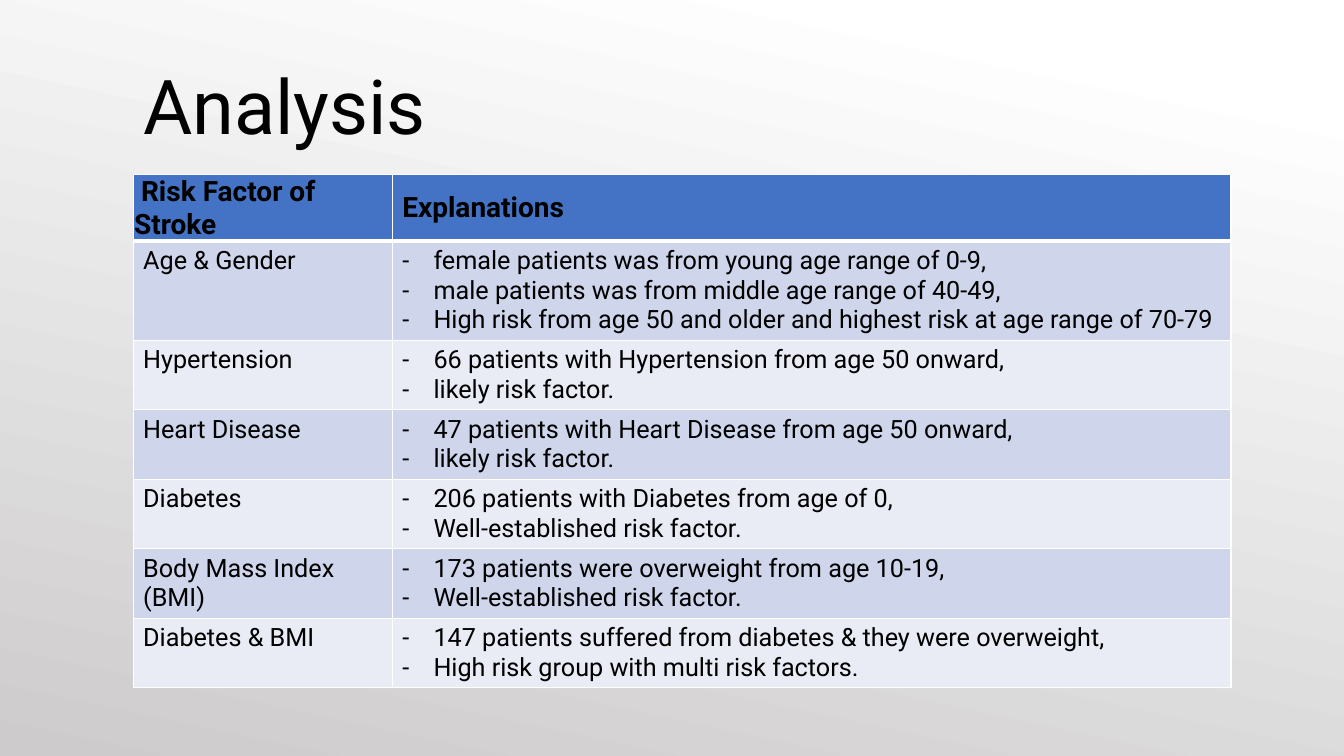
from lxml import etree
from pptx import Presentation
from pptx.dml.color import RGBColor
from pptx.enum.text import MSO_ANCHOR, PP_ALIGN
from pptx.oxml.ns import qn
from pptx.util import Inches, Pt

BOTTOM, MIDDLE, TOP = MSO_ANCHOR.BOTTOM, MSO_ANCHOR.MIDDLE, MSO_ANCHOR.TOP
LEFT = PP_ALIGN.LEFT

TITLE = "Analysis"
HEADINGS = (" Risk Factor of Stroke", "Explanations")
FACTORS = [
    ("Age & Gender", [
        "female patients was from young age range of 0-9,",
        "male patients was from middle age range of 40-49,",
        "High risk from age 50 and older and highest risk at age range of 70-79",
    ]),
    ("Hypertension", [
        "66 patients with Hypertension from age 50 onward,",
        "likely risk factor.",
    ]),
    ("Heart Disease", [
        "47 patients with Heart Disease from age 50 onward,",
        "likely risk factor.",
    ]),
    ("Diabetes", [
        "206 patients with Diabetes from age of 0,",
        "Well-established risk factor.",
    ]),
    ("Body Mass Index (BMI)", [
        "173 patients were overweight from age 10-19,",
        "Well-established risk factor.",
    ]),
    ("Diabetes & BMI", [
        "147 patients suffered from diabetes & they were overweight,",
        "High risk group with multi risk factors.",
    ]),
]

FONT = "Roboto"
COLORS = {
    "text": "000000",
    "header": "4472C4",
    "dark band": "CFD5EA",
    "light band": "E9EBF5",
    "border": "FFFFFF",
    "page light": "FFFFFF",
    "page dark": "CDCBCB",
}
COLUMN_WIDTHS = (2.57, 8.32)
HEADER_HEIGHT = 0.64
ROW_HEIGHTS = {2: 0.69, 3: 0.97}
HANGING = Inches(0.31)


def color(name):
    return RGBColor.from_string(COLORS[name])


def add_span(para, text, size, bold=False):
    para.alignment = LEFT
    span = para.add_run()
    span.text = text
    span.font.name = FONT
    span.font.size = Pt(size)
    span.font.bold = bold
    span.font.color.rgb = color("text")


def add_dash(para):
    properties = para._p.get_or_add_pPr()
    properties.set("marL", str(HANGING))
    properties.set("indent", str(-HANGING))
    etree.SubElement(properties, qn("a:buFont")).set("typeface", FONT)
    etree.SubElement(properties, qn("a:buChar")).set("char", "-")


def add_borders(cell, widths):
    properties = cell._tc.get_or_add_tcPr()
    for side, width in widths.items():
        line = etree.SubElement(properties, qn(f"a:ln{side}"), w=str(Pt(width)))
        fill = etree.SubElement(line, qn("a:solidFill"))
        etree.SubElement(fill, qn("a:srgbClr"), val=COLORS["border"])


def fill_cell(cell, lines, fill, size, bold=False, dashed=False, top=1, bottom=1):
    add_borders(cell, {"L": 1, "R": 1, "T": top, "B": bottom})
    cell.fill.solid()
    cell.fill.fore_color.rgb = color(fill)
    cell.vertical_anchor = MIDDLE if bold else TOP
    frame = cell.text_frame
    for number, text in enumerate(lines):
        para = frame.add_paragraph() if number else frame.paragraphs[0]
        add_span(para, text, size, bold)
        if dashed:
            add_dash(para)


deck = Presentation()
deck.slide_width, deck.slide_height = Inches(13.33), Inches(7.5)
page = deck.slides.add_slide(deck.slide_layouts[5])

backdrop = page.background.fill
backdrop.gradient()
backdrop.gradient_angle = 360 - 102
for stop, name, position in zip(
    backdrop.gradient_stops, ("page light", "page dark"), (0.1, 1)
):
    stop.color.rgb = color(name)
    stop.position = position

title = page.shapes.title
title.left, title.top = Inches(1.32), Inches(0.41)
title.width, title.height = Inches(10.34), Inches(1.14)
title.text_frame.vertical_anchor = BOTTOM
title.text_frame.word_wrap = True
heading = title.text_frame.paragraphs[0]
heading.line_spacing = 0.9
add_span(heading, TITLE, 54)

heights = [HEADER_HEIGHT] + [ROW_HEIGHTS[len(notes)] for _, notes in FACTORS]
table = page.shapes.add_table(
    len(heights), len(COLUMN_WIDTHS), Inches(1.32), Inches(1.73),
    Inches(sum(COLUMN_WIDTHS)), Inches(sum(heights)),
).table
for column, width in zip(table.columns, COLUMN_WIDTHS):
    column.width = Inches(width)
for row, height in zip(table.rows, heights):
    row.height = Inches(height)

for index, text in enumerate(HEADINGS):
    fill_cell(table.cell(0, index), [text], "header", 20, bold=True, bottom=3)
corner = table.cell(0, 0)
corner.margin_left = corner.margin_right = corner.margin_top = Inches(0.01)
corner.margin_bottom = 0

for index, (factor, notes) in enumerate(FACTORS, start=1):
    band = "dark band" if index % 2 else "light band"
    top = 3 if index == 1 else 1
    fill_cell(table.cell(index, 0), [factor], band, 18, top=top)
    fill_cell(table.cell(index, 1), notes, band, 18, dashed=True, top=top)

deck.save("out.pptx")
